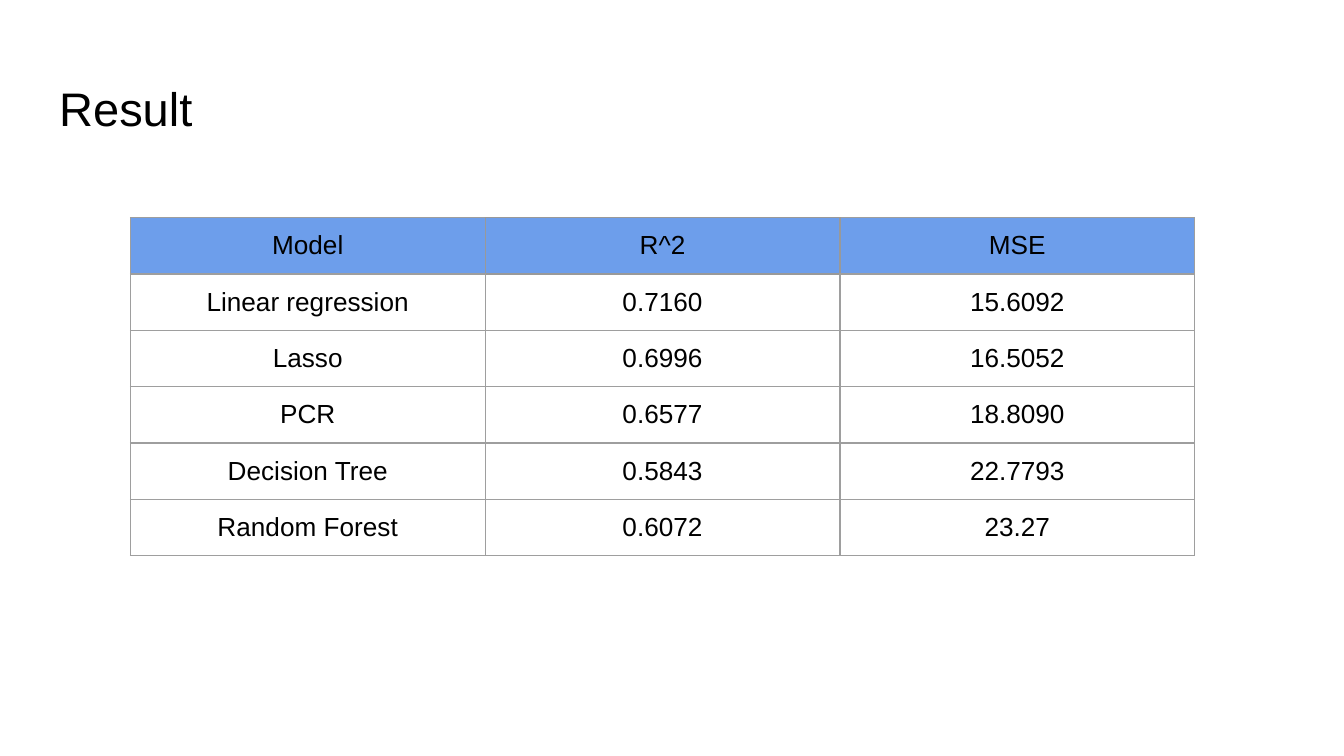
from lxml import etree
from pptx import Presentation
from pptx.dml.color import RGBColor
from pptx.enum import text
from pptx.oxml import ns
from pptx.util import Inches, Pt

TITLE = "Result"
ROWS = [
    ("Model", "R^2", "MSE"),
    ("Linear regression", "0.7160", "15.6092"),
    ("Lasso", "0.6996", "16.5052"),
    ("PCR", "0.6577", "18.8090"),
    ("Decision Tree", "0.5843", "22.7793"),
    ("Random Forest", "0.6072", "23.27"),
]
BLACK = RGBColor(0x00, 0x00, 0x00)
HEADER_BLUE = RGBColor(0x6D, 0x9E, 0xEB)
BORDER_GREY = RGBColor(0x9E, 0x9E, 0x9E)
HEADER_BORDER_GREY = RGBColor(0x99, 0x99, 0x99)
SLIDE_WIDTH = Inches(10)
SLIDE_HEIGHT = SLIDE_WIDTH * 9 // 16
COLUMN_WIDTH, TABLE_HEIGHT, INSET = Inches(2.64), Inches(2.51), Inches(0.1)


def format_paragraph(paragraph, size, alignment):
    paragraph.alignment = alignment
    for run in paragraph.runs:
        run.font.name = "Arial"
        run.font.size = Pt(size)
        run.font.color.rgb = BLACK


def set_insets(frame):
    frame.margin_left = frame.margin_right = INSET
    frame.margin_top = frame.margin_bottom = INSET


def border_color(row, column, side):
    touches_header_middle = (
        (row, column) == (0, 1)
        or (row, column, side) in ((0, 0, "R"), (0, 2, "L"), (1, 1, "T")))
    return HEADER_BORDER_GREY if touches_header_middle else BORDER_GREY


def add_borders(cell, row, column):
    properties = cell._tc.get_or_add_tcPr()
    for position, side in enumerate("LRTB"):
        line = etree.Element(ns.qn(f"a:ln{side}"), w=str(Pt(0.75)))
        fill = etree.SubElement(line, ns.qn("a:solidFill"))
        color = border_color(row, column, side)
        etree.SubElement(fill, ns.qn("a:srgbClr"), val=str(color))
        properties.insert(position, line)


def add_title(slide):
    title = slide.shapes.title
    title.left, title.top = Inches(0.34), Inches(0.49)
    title.width, title.height = Inches(9.32), Inches(0.63)
    frame = title.text_frame
    frame.text = TITLE
    frame.vertical_anchor = text.MSO_ANCHOR.MIDDLE
    set_insets(frame)
    format_paragraph(frame.paragraphs[0], 25.2, text.PP_ALIGN.LEFT)


def add_results_table(slide):
    row_count, column_count = len(ROWS), len(ROWS[0])
    table = slide.shapes.add_table(
        row_count, column_count, Inches(0.97), Inches(1.62),
        COLUMN_WIDTH * column_count, TABLE_HEIGHT).table
    table.first_row = table.horz_banding = False
    for row, values in enumerate(ROWS):
        for column, value in enumerate(values):
            cell = table.cell(row, column)
            cell.text_frame.text = value
            set_insets(cell)
            format_paragraph(cell.text_frame.paragraphs[0], 14, text.PP_ALIGN.CENTER)
            if row == 0:
                cell.fill.solid()
                cell.fill.fore_color.rgb = HEADER_BLUE
            else:
                cell.fill.background()
            add_borders(cell, row, column)


def main():
    presentation = Presentation()
    presentation.slide_width, presentation.slide_height = SLIDE_WIDTH, SLIDE_HEIGHT
    slide = presentation.slides.add_slide(presentation.slide_layouts[5])
    add_title(slide)
    add_results_table(slide)
    presentation.save("out.pptx")


if __name__ == "__main__":
    main()
